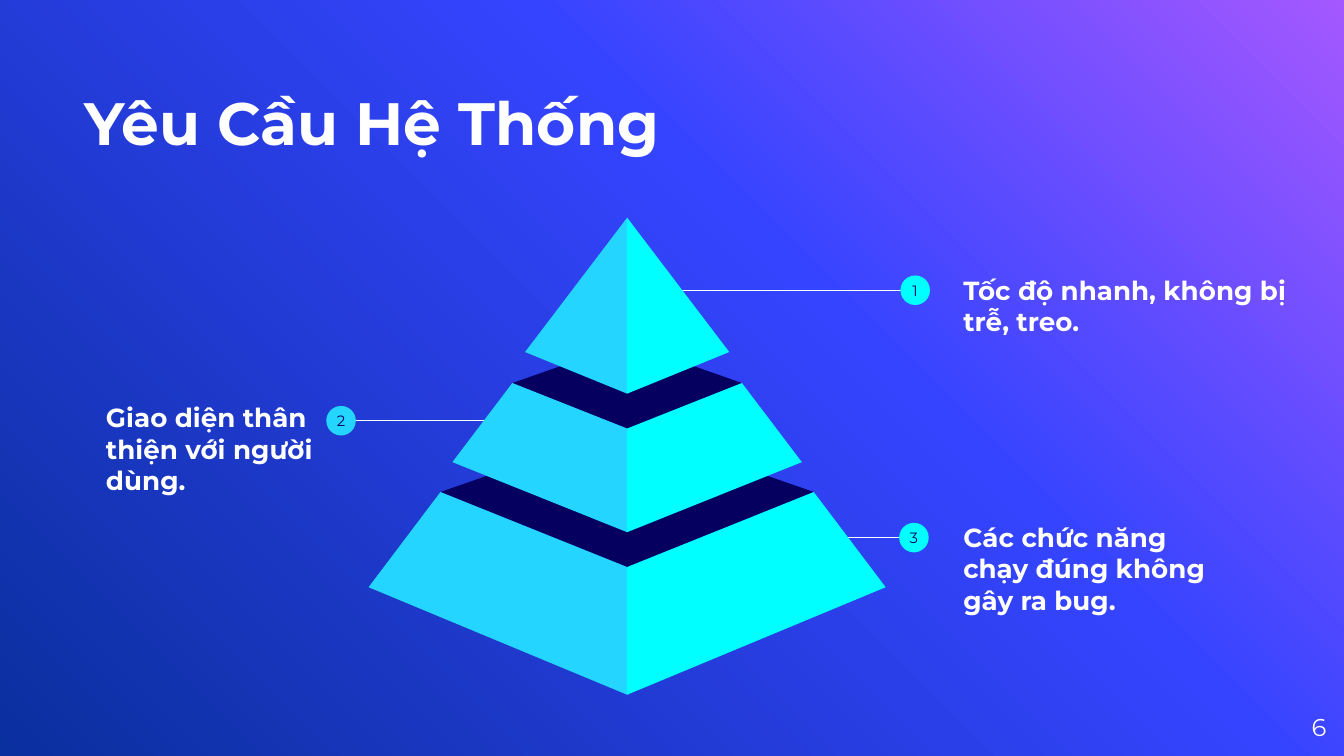
import copy

import pptx
import pptx.dml.color
import pptx.enum.shapes
import pptx.enum.text
import pptx.oxml
import pptx.oxml.ns
import pptx.util

Pt = pptx.util.Pt
RGBColor = pptx.dml.color.RGBColor
Align = pptx.enum.text.PP_ALIGN
Anchor = pptx.enum.text.MSO_ANCHOR

WHITE = RGBColor(0xFF, 0xFF, 0xFF)
NAVY = RGBColor(0x05, 0x00, 0x60)
SKY = RGBColor(0x24, 0xD6, 0xFF)
CYAN = RGBColor(0x00, 0xFF, 0xFF)
VIOLET = RGBColor(0xA4, 0x58, 0xFF)
BLUE = RGBColor(0x35, 0x44, 0xFF)
DEEP_BLUE = RGBColor(0x0A, 0x2F, 0x9E)

FONT = "Montserrat"
MARKER_SIZE = 15.84

# Each tier: half width and height of its upper corners, front top,
# half width and height of its lower corners, front bottom, back of its lid
TIERS = [
    (100, 147, 187.2, 138.5, 198, 255.6, 112.3),
    (61.5, 88.6, 113, 93.6, 131, 168.5, 67),
    (0, 0, 0, 54.7, 72, 94.3, None),
]

# Caption, caption box, marker centre, line end, marker colour
CALLOUTS = [
    ("3", "Các chức năng chạy đúng không gây ra bug.",
     (509, 275.8, 159.1, 58.3), (489.6, 288), 451.5, CYAN),
    ("2", "Giao diện thân thiện với người dùng.",
     (49.7, 211.7, 138.2, 58.3), (182.7, 225.4), 262, SKY),
    ("1", "Tốc độ nhanh, không bị trễ, treo.",
     (509, 143.3, 194.4, 41), (490.3, 155.5), 362, CYAN),
]


def write(shape, text, size, color, bold=False, align=Align.LEFT,
          anchor=Anchor.TOP, insets=(0, 0)):
    frame = shape.text_frame
    frame.word_wrap = True
    frame.vertical_anchor = anchor
    frame.margin_left = frame.margin_right = Pt(insets[0])
    frame.margin_top = frame.margin_bottom = Pt(insets[1])
    paragraph = frame.paragraphs[0]
    paragraph.alignment = align
    run = paragraph.add_run()
    run.text = text
    run.font.name = FONT
    run.font.size = Pt(size)
    run.font.bold = bold
    run.font.color.rgb = color


def add_text(slide, box, text, size, **options):
    shape = slide.shapes.add_textbox(*map(Pt, box))
    write(shape, text, size, WHITE, **options)
    return shape


def paint(shape, color):
    shape.shadow.inherit = False
    shape.fill.solid()
    shape.fill.fore_color.rgb = color
    shape.line.fill.background()


def paint_background(slide):
    fill = slide.background.fill
    fill.gradient()
    fill.gradient_angle = 225
    # A new gradient has two stops; add the third
    stop_list = slide.element.find(".//" + pptx.oxml.ns.qn("a:gsLst"))
    stop_list.append(copy.deepcopy(stop_list[-1]))
    colors = [(0, VIOLET), (0.39, BLUE), (1, DEEP_BLUE)]
    for stop, (position, color) in zip(fill.gradient_stops, colors):
        stop.position = position
        stop.color.rgb = color


def add_callout(slide, box, number, caption, center, line_end, color):
    x, y = center
    # Leader line
    line = slide.shapes.add_connector(
        pptx.enum.shapes.MSO_CONNECTOR.STRAIGHT,
        Pt(line_end), Pt(y), Pt(x), Pt(y))
    line.line.color.rgb = WHITE
    line.line.width = Pt(0.75)
    line.element.spPr.append(pptx.oxml.parse_xml(
        "<a:effectLst %s/>" % pptx.oxml.ns.nsdecls("a")))
    # Numbered marker
    marker = slide.shapes.add_shape(
        pptx.enum.shapes.MSO_SHAPE.OVAL,
        Pt(x - MARKER_SIZE / 2), Pt(y - MARKER_SIZE / 2),
        Pt(MARKER_SIZE), Pt(MARKER_SIZE))
    paint(marker, color)
    write(marker, number, 8, NAVY, align=Align.CENTER, anchor=Anchor.MIDDLE)
    # Caption
    text = add_text(slide, box, caption, 14, bold=True, insets=(7.2, 3.6))
    text.text_frame.auto_size = pptx.enum.text.MSO_AUTO_SIZE.SHAPE_TO_FIT_TEXT


def add_polygon(slide, points, color):
    first, *others = [(Pt(x), Pt(y)) for x, y in points]
    builder = slide.shapes.build_freeform(*first)
    builder.add_line_segments(others, close=True)
    paint(builder.convert_to_shape(), color)


def add_pyramid(slide, box):
    left, top, width, height = box
    axis = left + width / 2
    for upper, upper_y, front_top, lower, lower_y, front_bottom, back in TIERS:
        # Dark lid
        if back is not None:
            add_polygon(slide, [
                (axis - upper, top + upper_y), (axis, top + front_top),
                (axis + upper, top + upper_y), (axis, top + back)], NAVY)
        # Left and right faces
        for side, color in ((-1, SKY), (1, CYAN)):
            points = [(axis + side * lower, top + lower_y),
                      (axis, top + front_bottom), (axis, top + front_top)]
            if upper:
                points.append((axis + side * upper, top + upper_y))
            add_polygon(slide, points, color)


def main():
    presentation = pptx.Presentation()
    presentation.slide_width = Pt(720)
    presentation.slide_height = Pt(405)
    slide = presentation.slides.add_slide(presentation.slide_layouts[6])
    paint_background(slide)

    # Title and page number
    add_text(slide, (45.4, 16.6, 473.8, 67.7), "Yêu Cầu Hệ Thống", 32,
             bold=True, anchor=Anchor.BOTTOM)
    add_text(slide, (667.4, 373.7, 43.2, 31), "6", 13,
             align=Align.RIGHT, anchor=Anchor.MIDDLE)

    # Callouts lie behind the pyramid, which covers their line ends
    for number, caption, box, center, line_end, color in CALLOUTS:
        add_callout(slide, box, number, caption, center, line_end, color)
    add_pyramid(slide, (197.5, 116.6, 277, 255.6))

    presentation.save("out.pptx")


if __name__ == "__main__":
    main()
